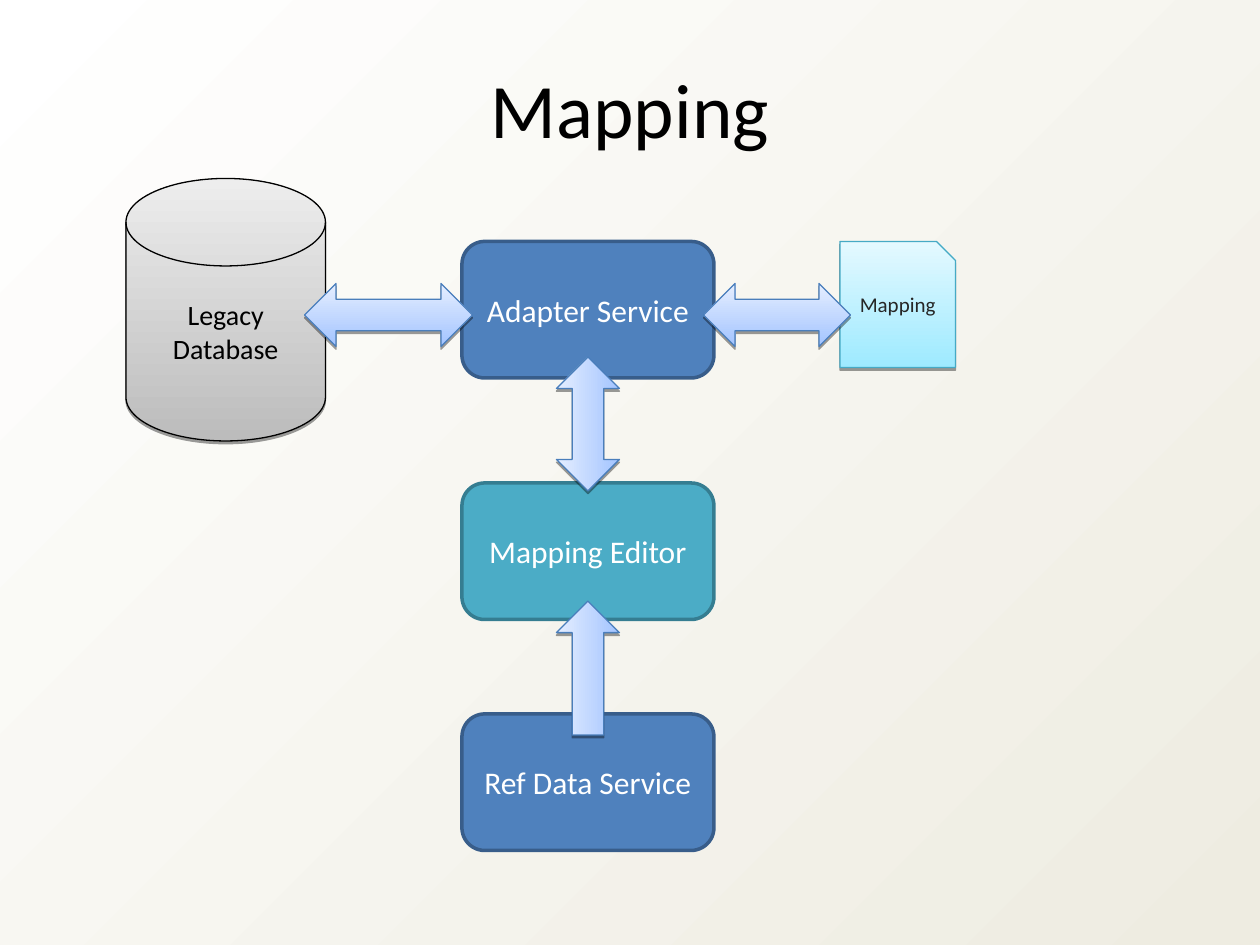
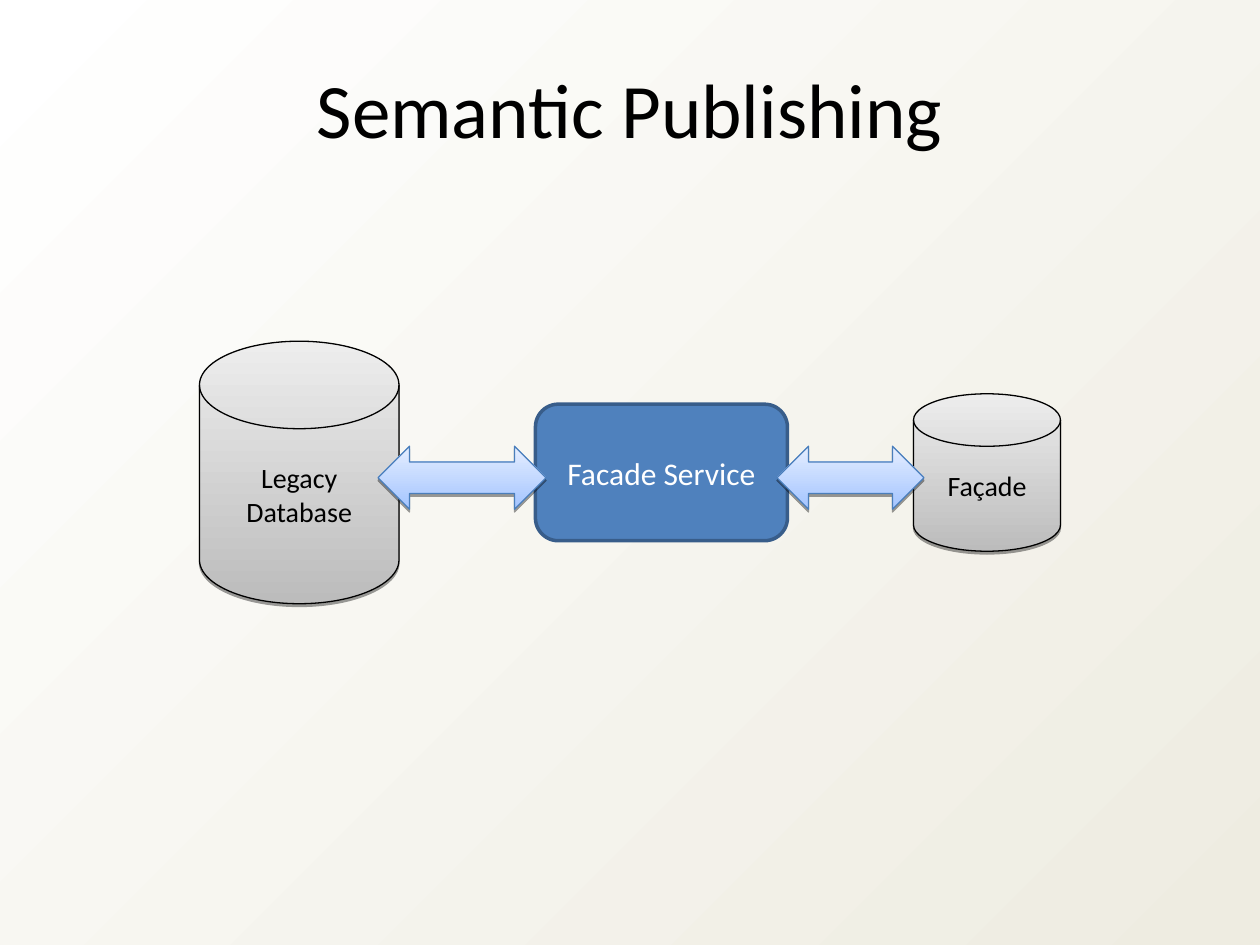
from lxml import etree
from pptx import Presentation
from pptx import util as u
from pptx.dml.color import RGBColor
from pptx.enum import shapes, text
from pptx.oxml import ns

FONT = "Calibri"
KIND = shapes.MSO_SHAPE
CELL = u.Inches(1) / 12  # grid of 120 columns by 90 rows
COLOURS = {
    "black": "000000", "white": "FFFFFF", "ink": "262626", "paper": "EEECE1",
    "blue": "4F81BD", "blue_edge": "385D8A",
    "teal": "4BACC6", "teal_edge": "357D91",
    "grey_dark": "BCBCBC", "grey_light": "EDEDED",
    "arrow_dark": "A3C4FF", "arrow_light": "E5EEFF", "arrow_edge": "4A7EBB",
    "sheet_dark": "9EEAFF", "sheet_light": "E4F9FF", "sheet_edge": "46AAC5",
}
SERVICE_SIZE = (24, 13)
DATABASE_SIZE = (19, 25)
ARROW_WIDTH = 6


def colour(name):
    return RGBColor.from_string(COLOURS[name])


def cells(*counts):
    return [u.Emu(round(count * CELL)) for count in counts]


def write(frame, words, size, ink):
    frame.word_wrap = True
    frame.vertical_anchor = text.MSO_ANCHOR.MIDDLE
    frame.margin_left = frame.margin_right = u.Inches(0.1)
    frame.margin_top = frame.margin_bottom = u.Inches(0.05)
    para = frame.paragraphs[0]
    para.alignment = text.PP_ALIGN.CENTER
    span = para.add_run()
    span.text = words
    span.font.name = FONT
    span.font.size = u.Pt(size)
    span.font.color.rgb = colour(ink)


def blend(fill, start, end, angle):
    """Two-stop gradient; the angle runs counter-clockwise."""
    fill.gradient()
    fill.gradient_angle = angle
    for stop, name in zip(fill.gradient_stops, (start, end)):
        stop.color.rgb = colour(name)


def outline(shape, edge, width):
    shape.line.color.rgb = colour(edge)
    shape.line.width = u.Pt(width)
    shape.shadow.inherit = False


def raise_up(shape, dark, light, edge, angle=90):
    """Gradient fill, thin outline and a short shadow below."""
    blend(shape.fill, dark, light, angle)
    outline(shape, edge, 0.75)
    effects = shape._element.spPr.find(ns.qn("a:effectLst"))
    shadow = etree.SubElement(effects, ns.qn("a:outerShdw"), blurRad="0",
                              dist=str(u.Pt(1.6)), dir="5400000", rotWithShape="0")
    tint = etree.SubElement(shadow, ns.qn("a:srgbClr"), val=COLOURS["black"])
    etree.SubElement(tint, ns.qn("a:alpha"), val="38000")


def add_page(deck, title):
    page = deck.slides.add_slide(deck.slide_layouts[5])
    box = page.shapes.title
    box.left, box.top, box.width, box.height = cells(2, 5.2, 116, 10.1)
    write(box.text_frame, title, 44, "black")
    return page


def add_service(page, words, column, row, hue="blue"):
    box = page.shapes.add_shape(KIND.ROUNDED_RECTANGLE,
                                *cells(column, row, *SERVICE_SIZE))
    box.fill.solid()
    box.fill.fore_color.rgb = colour(hue)
    outline(box, f"{hue}_edge", 2)
    write(box.text_frame, words, 18, "white")


def add_database(page, words, column, row, size=DATABASE_SIZE):
    disk = page.shapes.add_shape(KIND.FLOWCHART_MAGNETIC_DISK,
                                 *cells(column, row, *size))
    raise_up(disk, "grey_dark", "grey_light", "black")
    write(disk.text_frame, words, 16, "black")


def add_sheet(page, words, column, row, width, height, snip):
    right, bottom = column + width, row + height
    outline_points = [(right - snip, row), (right, row + snip),
                      (right, bottom), (column, bottom)]
    builder = page.shapes.build_freeform(*cells(column, row))
    builder.add_line_segments([cells(*point) for point in outline_points], close=True)
    sheet = builder.convert_to_shape()
    raise_up(sheet, "sheet_dark", "sheet_light", "sheet_edge")
    write(sheet.text_frame, words, 12, "ink")


def add_arrow(page, kind, column, row, length):
    flat = kind == KIND.LEFT_RIGHT_ARROW
    size = (length, ARROW_WIDTH) if flat else (ARROW_WIDTH, length)
    arrow = page.shapes.add_shape(kind, *cells(column, row, *size))
    raise_up(arrow, "arrow_dark", "arrow_light", "arrow_edge", 90 if flat else 180)


def draw_mapping(deck):
    page = add_page(deck, "Mapping")
    # Services in one column, stores on either side
    add_service(page, "Adapter Service", 44, 23)
    add_service(page, "Mapping Editor", 44, 46, "teal")
    add_service(page, "Ref Data Service", 44, 68)
    add_database(page, "Legacy Database", 12, 17)
    add_sheet(page, "Mapping", 80, 23, 11, 12, 1.8)
    # Flows
    add_arrow(page, KIND.LEFT_RIGHT_ARROW, 29, 27, 16)
    add_arrow(page, KIND.LEFT_RIGHT_ARROW, 67, 27, 14)
    add_arrow(page, KIND.UP_DOWN_ARROW, 53, 34, 12.75)
    add_arrow(page, KIND.UP_ARROW, 53, 57.25, 12.75)


def draw_publishing(deck):
    page = add_page(deck, "Semantic Publishing")
    # Facade service between the two stores
    add_database(page, "Façade", 87, 37.5, (14, 15))
    add_database(page, "Legacy Database", 19, 32.5)
    add_service(page, "Facade Service", 51, 38.5)
    # Flows
    add_arrow(page, KIND.LEFT_RIGHT_ARROW, 74, 42.5, 14)
    add_arrow(page, KIND.LEFT_RIGHT_ARROW, 36, 42.5, 16)


def main():
    deck = Presentation()
    deck.slide_width, deck.slide_height = cells(120, 90)
    blend(deck.slide_master.background.fill, "white", "paper", 315)
    draw_mapping(deck)
    draw_publishing(deck)
    deck.save("out.pptx")


if __name__ == "__main__":
    main()
